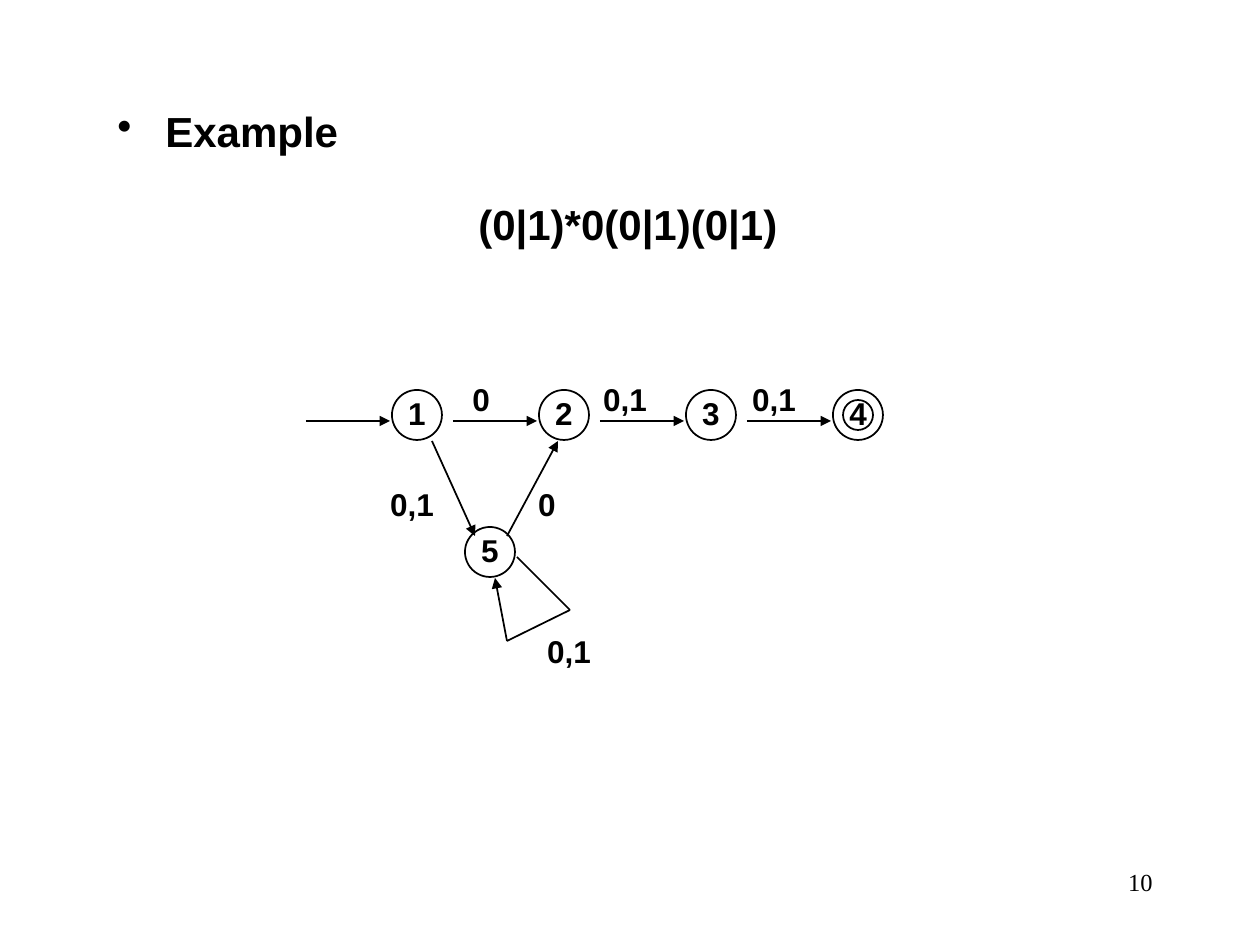
from dataclasses import dataclass

from lxml import etree
from pptx import Presentation
from pptx.dml.color import RGBColor
from pptx.enum.shapes import MSO_CONNECTOR, MSO_SHAPE
from pptx.enum.text import MSO_ANCHOR, PP_ALIGN
from pptx.oxml.ns import qn
from pptx.util import Pt

OVAL = MSO_SHAPE.OVAL
STRAIGHT = MSO_CONNECTOR.STRAIGHT
LEFT, CENTER, RIGHT = PP_ALIGN.LEFT, PP_ALIGN.CENTER, PP_ALIGN.RIGHT
TOP, MIDDLE = MSO_ANCHOR.TOP, MSO_ANCHOR.MIDDLE
BLANK_LAYOUT = 6
EMU_PER_PX = 914400 / 126


@dataclass(frozen=True)
class Theme:
    ink: RGBColor = RGBColor(0, 0, 0)
    font: str = "Arial"
    number_font: str = "Times New Roman"
    body_size: int = 24
    label_size: int = 18
    number_size: int = 14
    line_width: int = 1
    line_spacing: float = 0.9


THEME = Theme()
BODY = {"name": THEME.font, "size": Pt(THEME.body_size), "bold": True}
LABEL = {"name": THEME.font, "size": Pt(THEME.label_size), "bold": True}
NUMBER = {"name": THEME.number_font, "size": Pt(THEME.number_size), "bold": False}

STATE_SIZE = 50
STATE_PITCH = 147
STATE_LEFT, STATE_TOP = 392, 390
ARROW_LEFT, ARROW_LENGTH, ARROW_Y = 306, 84, 421
LABEL_WIDTH, LABEL_HEIGHT = 70, 46


def px(value):
    return round(value * EMU_PER_PX)


def apply_format(target, values):
    for name, value in values.items():
        setattr(target, name, value)


def write(paragraph, text, font, alignment=LEFT):
    paragraph.text = text
    paragraph.alignment = alignment
    paragraph.line_spacing = THEME.line_spacing
    apply_format(paragraph.font, font)
    paragraph.font.color.rgb = THEME.ink


def indent(paragraph, margin, first_line=0, bullet=None):
    properties = paragraph._p.get_or_add_pPr()
    properties.set("marL", str(px(margin)))
    properties.set("indent", str(px(first_line)))
    if bullet:
        etree.SubElement(properties, qn("a:buChar")).set("char", bullet)


def add_text_box(slide, left, top, width, height, anchor=TOP):
    box = slide.shapes.add_textbox(px(left), px(top), px(width), px(height))
    apply_format(box.text_frame, {"word_wrap": True, "vertical_anchor": anchor})
    return box.text_frame


def add_body(slide):
    frame = add_text_box(slide, 105, 105, 1071, 199)
    heading = frame.paragraphs[0]
    indent(heading, 48, -48, "•")
    write(heading, "Example", BODY)
    expression = frame.add_paragraph()
    indent(expression, 361)
    write(expression, "(0|1)*0(0|1)(0|1)", BODY)
    expression.space_before = Pt(27)


def add_state(slide, left, top, size=STATE_SIZE, text=None):
    state = slide.shapes.add_shape(OVAL, px(left), px(top), px(size), px(size))
    state.shadow.inherit = False
    state.fill.background()
    state.line.color.rgb = THEME.ink
    state.line.width = Pt(THEME.line_width)
    if text:
        frame = state.text_frame
        apply_format(frame, {
            "word_wrap": False, "vertical_anchor": MIDDLE,
            "margin_left": 0, "margin_right": 0,
            "margin_top": 0, "margin_bottom": 0,
        })
        write(frame.paragraphs[0], text, LABEL, CENTER)


def add_line(slide, start, end, arrow=True):
    line = slide.shapes.add_connector(STRAIGHT, *map(px, start + end))
    line.line.color.rgb = THEME.ink
    line.line.width = Pt(THEME.line_width)
    if arrow:
        outline = line.line._get_or_add_ln()
        etree.SubElement(outline, qn("a:tailEnd")).set("type", "triangle")
    etree.SubElement(line._element.spPr, qn("a:effectLst"))


def add_label(slide, text, center_x, center_y):
    frame = add_text_box(slide, center_x - LABEL_WIDTH // 2,
                         center_y - LABEL_HEIGHT // 2,
                         LABEL_WIDTH, LABEL_HEIGHT, MIDDLE)
    write(frame.paragraphs[0], text, LABEL, CENTER)


def add_automaton(slide):
    for index, text in enumerate(("1", "2", "3", None)):
        offset = index * STATE_PITCH
        add_state(slide, STATE_LEFT + offset, STATE_TOP, text=text)
        start = ARROW_LEFT + offset
        add_line(slide, (start, ARROW_Y), (start + ARROW_LENGTH, ARROW_Y))
    add_state(slide, 843, 400, 30, "4")
    add_state(slide, 465, 527, text="5")

    add_line(slide, (432, 441), (475, 536))
    add_line(slide, (507, 536), (558, 441))
    loop = [(517, 557), (570, 610), (507, 641), (495, 578)]
    for start, end in zip(loop, loop[1:]):
        add_line(slide, start, end, arrow=end == loop[-1])

    labels = [("0", 481, 401), ("0,1", 625, 401), ("0,1", 774, 401),
              ("0,1", 412, 506), ("0", 547, 506), ("0,1", 569, 653)]
    for label in labels:
        add_label(slide, *label)


def add_page_number(slide):
    frame = add_text_box(slide, 903, 861, 262, 63)
    write(frame.paragraphs[0], "10", NUMBER, RIGHT)
    frame.paragraphs[0].line_spacing = 1.0


def main():
    presentation = Presentation()
    presentation.slide_width = px(1260)
    presentation.slide_height = px(945)
    slide = presentation.slides.add_slide(presentation.slide_layouts[BLANK_LAYOUT])
    add_body(slide)
    add_automaton(slide)
    add_page_number(slide)
    presentation.save("out.pptx")


if __name__ == "__main__":
    main()
